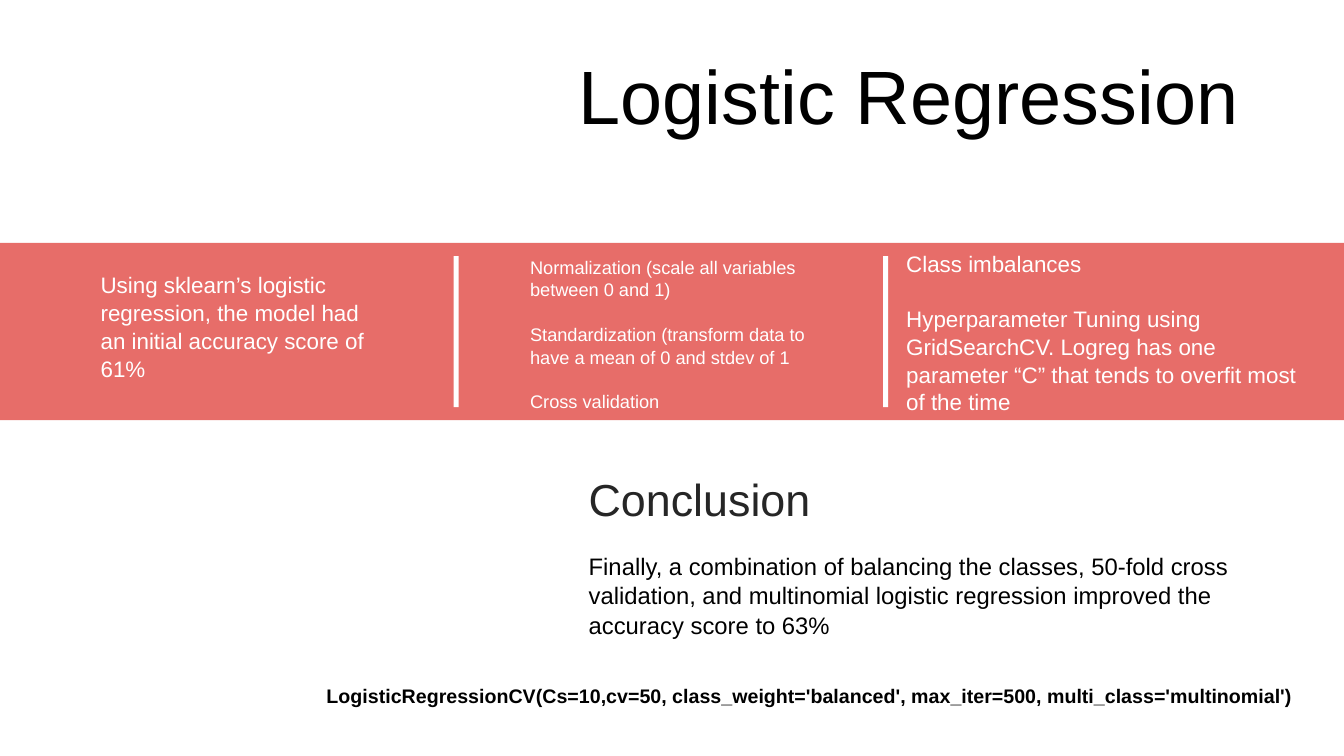
from dataclasses import dataclass

from lxml import etree
from pptx import Presentation
from pptx.dml.color import RGBColor
from pptx.enum.shapes import MSO_SHAPE
from pptx.enum.text import MSO_ANCHOR
from pptx.oxml.ns import qn
from pptx.util import Inches, Pt

RECT = MSO_SHAPE.RECTANGLE
TOP = MSO_ANCHOR.TOP
MIDDLE = MSO_ANCHOR.MIDDLE


@dataclass(frozen=True)
class Theme:
    font: str = "Arial"
    black: str = "000000"
    white: str = "FFFFFF"
    heading: str = "262626"
    band: str = "DE302A"
    band_opacity: int = 70
    title_size: int = 54
    heading_size: int = 32
    body_size: int = 17
    column_size: int = 16
    small_size: int = 13
    code_size: int = 14
    leading: float = 1.04


THEME = Theme()


def add_text(s, box, *paragraphs, size, color=THEME.black, bold=False,
             anchor=TOP, leading=1.0, gap=0, inset=0.05):
    tf = s.shapes.add_textbox(*map(Inches, box)).text_frame
    tf.word_wrap = True
    tf.vertical_anchor = anchor
    tf.margin_left = tf.margin_right = Inches(0.1)
    tf.margin_top = tf.margin_bottom = Inches(inset)
    for i, text in enumerate(paragraphs):
        p = tf.add_paragraph() if i else tf.paragraphs[0]
        p.line_spacing = leading
        p.space_before = Pt(gap if i else 0)
        r = p.add_run()
        r.text = text
        r.font.name = THEME.font
        r.font.size = Pt(size)
        r.font.bold = bold
        r.font.color.rgb = RGBColor.from_string(color)


def add_rect(s, box, color, opacity=100):
    sp = s.shapes.add_shape(RECT, *map(Inches, box))
    sp.shadow.inherit = False
    sp.fill.solid()
    sp.fill.fore_color.rgb = RGBColor.from_string(color)
    sp.line.fill.background()
    if opacity < 100:
        clr = sp.fill._xPr.find(qn("a:solidFill")).find(qn("a:srgbClr"))
        etree.SubElement(clr, qn("a:alpha")).set("val", str(opacity * 1000))


def add_title(s, box):
    add_text(s, box, "Logistic Regression", size=THEME.title_size, anchor=MIDDLE)


def add_band(s, box):
    left, top, width, height = box
    add_rect(s, box, THEME.band, THEME.band_opacity)

    columns = [
        (0.9, 0.22, 3, THEME.column_size, [
            "Using sklearn’s logistic regression, the model had an initial "
            "accuracy score of 61%"]),
        (5.16, 0.07, 3, THEME.small_size, [
            "Normalization (scale all variables between 0 and 1)",
            "Standardization (transform data to have a mean of 0 and stdev of 1",
            "Cross validation"]),
        (8.89, 0.01, 4.14, THEME.column_size, [
            "Class imbalances",
            "Hyperparameter Tuning using GridSearchCV. Logreg has one parameter "
            "“C” that tends to overfit most of the time"]),
    ]
    for x, y, w, size, paragraphs in columns:
        add_text(s, (left + x, top + y, w, height - y), *paragraphs,
                 size=size, color=THEME.white, leading=THEME.leading,
                 gap=size * 1.2)

    divider_height = 1.5
    for x in (4.5, 8.76):
        y = top + (height - divider_height) / 2
        add_rect(s, (left + x, y, 0.05, divider_height), THEME.white)


def add_conclusion(s, box):
    left, top, width, height = box
    add_text(s, (left, top, width, 0.84), "Conclusion",
             size=THEME.heading_size, color=THEME.heading, anchor=MIDDLE)
    add_text(s, (left, top + 0.88, width - 0.49, height - 0.88),
             "Finally, a combination of balancing the classes, 50-fold cross "
             "validation, and multinomial logistic regression improved the "
             "accuracy score to 63%",
             size=THEME.body_size, leading=THEME.leading)


def add_code(s, box):
    add_text(s, box,
             "LogisticRegressionCV(Cs=10,cv=50, class_weight='balanced', "
             "max_iter=500, multi_class='multinomial')",
             size=THEME.code_size, bold=True, inset=0.1)


def main():
    prs = Presentation()
    prs.slide_width = Inches(13.33)
    prs.slide_height = Inches(7.5)
    s = prs.slides.add_slide(prs.slide_layouts[6])
    add_title(s, (5.64, 0.43, 6.77, 1.01))
    add_band(s, (0, 2.41, 13.33, 1.76))
    add_conclusion(s, (5.74, 4.53, 7.06, 1.85))
    add_code(s, (3.14, 6.68, 9.97, 0.75))
    prs.save("out.pptx")


if __name__ == "__main__":
    main()
